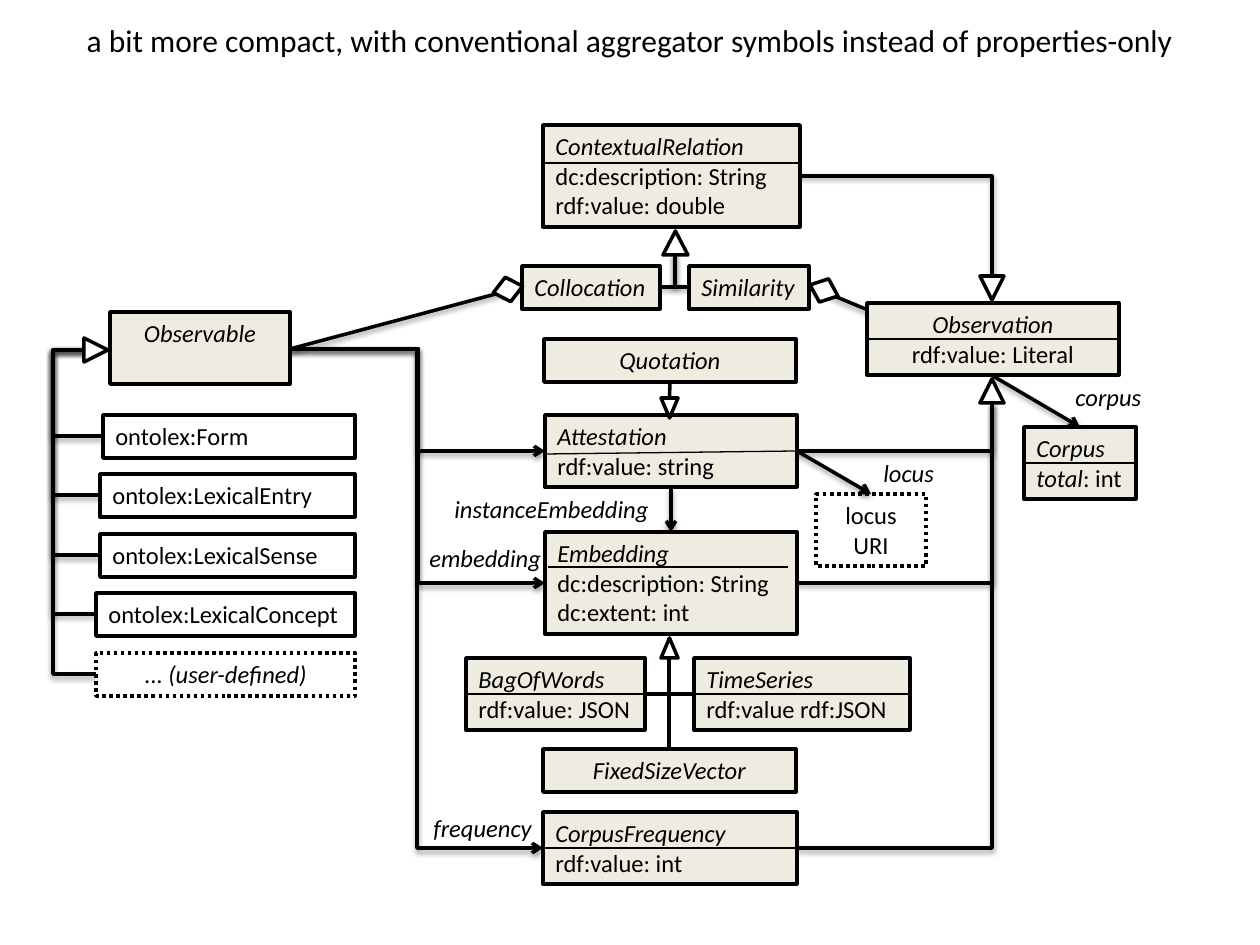
import dataclasses
import typing

import lxml.etree
import pptx
import pptx.dml.color
import pptx.enum.dml
import pptx.enum.shapes
import pptx.enum.text
import pptx.oxml.ns
import pptx.util

SCALE = 914400 / 126
KIND = pptx.enum.shapes.MSO_SHAPE
ALIGN = pptx.enum.text.PP_ALIGN


@dataclasses.dataclass(frozen=True)
class Theme:
    font: str = "Calibri"
    ink: str = "000000"
    paper: str = "FFFFFF"
    sand: str = "EEECE1"
    title: int = 18
    body: int = 14
    thick: float = 2
    thin: float = 0.75


THEME = Theme()


@dataclasses.dataclass(frozen=True)
class Box:
    x: int
    y: int
    w: int
    rows: tuple[str, ...]
    fill: str | None = THEME.sand
    mid: bool = False
    lines: int = 0
    rule: tuple[int, int, int, int] | None = (0, 36, 0, 36)


@dataclasses.dataclass(frozen=True)
class Link:
    x: int
    y: int
    tox: int
    toy: int
    bend: int | None = None
    arrow: bool = False
    shade: bool = True
    width: float = THEME.thick


class Head(typing.NamedTuple):
    x: int
    y: int
    w: int
    h: int
    turn: float = 0
    kind: typing.Any = KIND.ISOSCELES_TRIANGLE


class Label(typing.NamedTuple):
    x: int
    y: int
    w: int
    text: str


FORMS = [(103, "ontolex:Form"), (100, "ontolex:LexicalEntry"),
         (100, "ontolex:LexicalSense"), (96, "ontolex:LexicalConcept"),
         (96, "... _(user-defined)_")]
TOPS = [415 + i * 119 // 2 for i in range(len(FORMS))]

BOXES = [
    Box(110, 312, 180, ("_Observable_",), mid=True, lines=2),
    *(Box(x, y, 355 - x, (text,), fill=THEME.paper)
      for (x, text), y in zip(FORMS[:-1], TOPS)),
    Box(96, TOPS[-1], 259, (FORMS[-1][1],), fill=None, mid=True),
    Box(543, 125, 257, ("_ContextualRelation_", "dc:description: String", "rdf:value: double"),
        rule=(0, 38, 0, 38)),
    Box(522, 266, 138, ("_Collocation_",)),
    Box(689, 266, 120, ("_Similarity_",)),
    Box(544, 339, 252, ("_Quotation_",), mid=True),
    Box(545, 415, 252, ("_Attestation_", "rdf:value: string"), rule=(0, 39, 0, 36)),
    Box(545, 532, 252, ("_Embedding_", "dc:description: String", "dc:extent: int"),
        rule=(3, 35, 9, 35)),
    Box(466, 658, 179, ("_BagOfWords_", "rdf:value: JSON")),
    Box(694, 658, 216, ("_TimeSeries_", "rdf:value rdf:JSON")),
    Box(543, 749, 253, ("_FixedSizeVector_",), mid=True),
    Box(543, 812, 254, ("_CorpusFrequency_", "rdf:value: int")),
    Box(867, 303, 252, ("_Observation_", "rdf:value: Literal"), mid=True),
    Box(1024, 427, 112, ("_Corpus_", "_total_: int")),
    Box(816, 494, 110, ("locus", "URI"), fill=None, mid=True, rule=None),
]

LINKS = [
    *(Link(84, 350, x, y + 21, bend=53) for (x, _), y in zip(FORMS, TOPS)),
    Link(290, 349, 545, 451, bend=418, arrow=True),
    Link(290, 349, 545, 583, bend=418, arrow=True),
    Link(290, 349, 543, 848, bend=417, arrow=True),
    Link(290, 349, 522, 287),
    Link(868, 310, 810, 286),
    *(Link(x, 287, 675, 254, bend=675) for x in (660, 689)),
    *(Link(x, 694, 669, 658, bend=669, shade=False) for x in (645, 694)),
    Link(669, 750, 669, 638, shade=False),
    Link(670, 381, 669, 418, shade=False),
    *(Link(797, y, 992, 403, bend=992) for y in (451, 583, 848)),
    Link(800, 176, 992, 276, bend=992),
    Link(671, 487, 671, 532, arrow=True),
    Link(797, 451, 871, 494, arrow=True),
    Link(993, 376, 1080, 427, arrow=True),
]

HEADS = [
    Head(84, 338, 24, 24, 90),
    Head(663, 231, 25, 24),
    Head(661, 638, 17, 20),
    Head(661, 398, 17, 20, 180),
    Head(980, 379, 24, 24),
    Head(980, 276, 24, 24, 180),
    Head(493, 277, 30, 25, 347.5, KIND.DIAMOND),
    Head(809, 278, 30, 25, 21.7, KIND.DIAMOND),
]

LABELS = [
    Label(442, 488, 228, "_instanceEmbedding_"),
    Label(417, 537, 139, "_embedding_"),
    Label(421, 807, 125, "_frequency_"),
    Label(871, 452, 77, "_locus_"),
    Label(1063, 376, 92, "_corpus_"),
]


def px(*sizes: float) -> list[int]:
    return [round(n * SCALE) for n in sizes]


def tint(code: str) -> pptx.dml.color.RGBColor:
    return pptx.dml.color.RGBColor.from_string(code)


def add(host, tag: str, **traits):
    return lxml.etree.SubElement(host, pptx.oxml.ns.qn(tag), traits)


def write(frame, *rows: str, size: int = THEME.body, mid: bool = False) -> None:
    frame.word_wrap = True
    frame.auto_size = pptx.enum.text.MSO_AUTO_SIZE.NONE
    frame.vertical_anchor = pptx.enum.text.MSO_ANCHOR.TOP
    frame.margin_left, frame.margin_top = px(12.6, 6.3)
    frame.margin_right = frame.margin_left if mid else 0
    for i, row in enumerate(rows):
        para = frame.paragraphs[0] if i == 0 else frame.add_paragraph()
        para.alignment = ALIGN.CENTER if mid else ALIGN.LEFT
        for j, part in enumerate(row.split("_")):
            if part:
                run = para.add_run()
                run.text = part
                run.font.name = THEME.font
                run.font.size = pptx.util.Pt(size)
                run.font.italic = j % 2 == 1
                run.font.color.rgb = tint(THEME.ink)


def ink(line, width: float) -> None:
    line.color.rgb = tint(THEME.ink)
    line.width = pptx.util.Pt(width)


def draw_shape(slide, kind, fill: str | None, *place: int):
    shape = slide.shapes.add_shape(kind, *px(*place))
    shape.shadow.inherit = False
    ink(shape.line, THEME.thick)
    if fill:
        shape.fill.solid()
        shape.fill.fore_color.rgb = tint(fill)
    else:
        shape.fill.background()
        shape.line.dash_style = pptx.enum.dml.MSO_LINE.ROUND_DOT
    return shape


def draw_link(slide, link: Link) -> None:
    kinds = pptx.enum.shapes.MSO_CONNECTOR
    kind = kinds.STRAIGHT if link.bend is None else kinds.ELBOW
    wire = slide.shapes.add_connector(kind, *px(link.x, link.y, link.tox, link.toy))
    ink(wire.line, link.width)
    props = wire.element.spPr
    if link.bend is not None:
        ratio = round((link.bend - link.x) / (link.tox - link.x) * 100000)
        guides = next(props.iter(pptx.oxml.ns.qn("a:avLst")))
        add(guides, "a:gd", name="adj1", fmla=f"val {ratio}")
    if link.arrow:
        add(wire.line._get_or_add_ln(), "a:tailEnd", type="arrow")
    glow = add(props, "a:effectLst")
    if link.shade:
        cast = add(glow, "a:outerShdw", blurRad="40000", dist="20000",
                   dir="5400000", rotWithShape="0")
        add(add(cast, "a:srgbClr", val=THEME.ink), "a:alpha", val="38000")


def draw_box(slide, box: Box) -> None:
    high = (27 + 59 * (box.lines or len(box.rows))) // 2
    shape = draw_shape(slide, KIND.RECTANGLE, box.fill, box.x, box.y, box.w, high)
    write(shape.text_frame, *box.rows, mid=box.mid)
    if len(box.rows) > 1 and box.rule:
        left, start, right, end = box.rule
        draw_link(slide, Link(box.x + left, box.y + start, box.x + box.w - right,
                              box.y + end, shade=False, width=THEME.thin))


def main() -> None:
    deck = pptx.Presentation()
    deck.slide_width, deck.slide_height = px(1260, 945)
    slide = deck.slides.add_slide(deck.slide_layouts[5])
    title = slide.shapes.title
    title.left, title.top, title.width, title.height = px(74, 15, 1125, 50)
    write(title.text_frame, "a bit more compact, with conventional aggregator symbols "
          "instead of properties-only", size=THEME.title)
    for link in LINKS:
        draw_link(slide, link)
    for box in BOXES:
        draw_box(slide, box)
    for head in HEADS:
        shape = draw_shape(slide, head.kind, THEME.paper, *head[:4])
        shape.rotation = head.turn
    for label in LABELS:
        note = slide.shapes.add_textbox(*px(label.x, label.y, label.w, 43))
        write(note.text_frame, label.text)
    deck.save("out.pptx")


if __name__ == "__main__":
    main()
